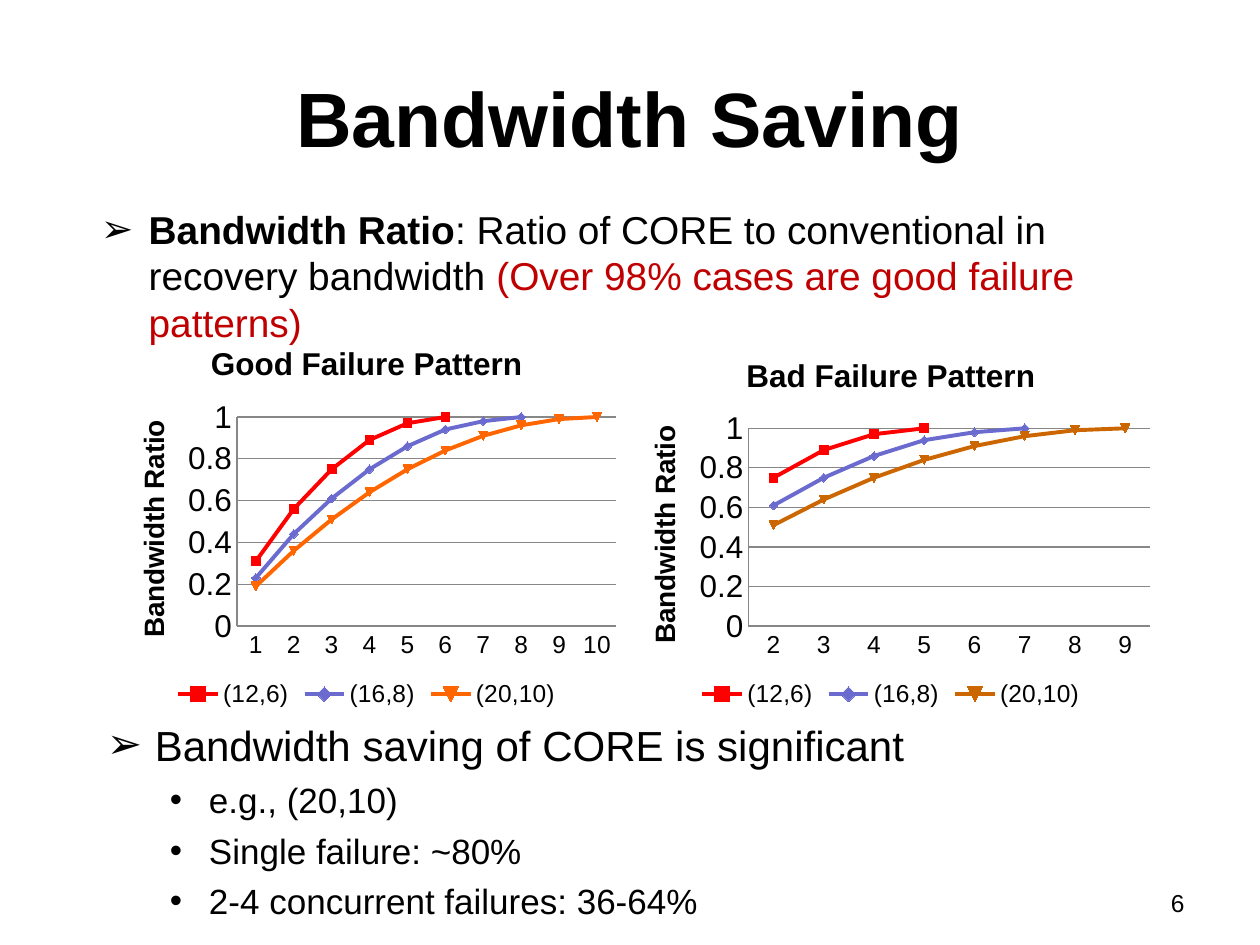
from lxml import etree
from pptx import Presentation, util as u
from pptx.chart import data as chart_data
from pptx.dml import color as dml
from pptx.enum import chart as chart_enum, text
from pptx.oxml import ns

BLACK, RED, VIOLET, ORANGE, BROWN = "000000", "FF0000", "6B6BCF", "FF6600", "CC6600"
GRID, DARK_RED = "878787", "C00000"
FONT = "Arial"
CODES = ("(12,6)", "(16,8)", "(20,10)")
GOOD_RATIOS = (
    (0.31, 0.56, 0.75, 0.89, 0.97, 1),
    (0.23, 0.44, 0.61, 0.75, 0.86, 0.94, 0.98, 1),
    (0.19, 0.36, 0.51, 0.64, 0.75, 0.84, 0.91, 0.96, 0.99, 1),
)
BAD_RATIOS = tuple(ratios[first:] for ratios, first in zip(GOOD_RATIOS, (2, 2, 2)))


def rgb(value):
    """Turn a hex string into a colour."""
    return dml.RGBColor.from_string(value)


def format_font(font, size, color=BLACK, bold=False):
    """Set the face, size, colour and weight of a font."""
    font.name, font.size, font.bold = FONT, u.Pt(size), bold
    font.color.rgb = rgb(color)


def add_text(paragraph, words, size, **style):
    """Add a formatted run to a paragraph."""
    run = paragraph.add_run()
    run.text = words
    format_font(run.font, size, **style)


def set_bullet(paragraph, character, margin, hanging, before=0):
    """Give a paragraph a bullet, a hanging indent and space before."""
    paragraph.space_before = u.Pt(before)
    properties = paragraph._p.get_or_add_pPr()
    properties.set("marL", str(u.Inches(margin)))
    properties.set("indent", str(-u.Inches(hanging)))
    font = etree.SubElement(properties, ns.qn("a:buFont"))
    font.set("typeface", FONT)
    etree.SubElement(properties, ns.qn("a:buChar")).set("char", character)


def place(shape, box, anchor=text.MSO_ANCHOR.TOP):
    """Move a text shape to its box and return its text frame."""
    shape.left, shape.top, shape.width, shape.height = map(u.Inches, box)
    frame = shape.text_frame
    frame.word_wrap, frame.auto_size = True, text.MSO_AUTO_SIZE.NONE
    frame.vertical_anchor = anchor
    return frame


def add_text_box(slide, box):
    """Add a wrapping text box and return its text frame."""
    return place(slide.shapes.add_textbox(0, 0, 0, 0), box)


def fill_title(slide, box):
    """Write the slide title."""
    paragraph = place(slide.shapes.title, box, text.MSO_ANCHOR.MIDDLE).paragraphs[0]
    paragraph.alignment = text.PP_ALIGN.CENTER
    add_text(paragraph, "Bandwidth Saving", 44, bold=True)


def fill_definition(slide, box):
    """Write the definition of the bandwidth ratio."""
    paragraph = place(slide.placeholders[1], box).paragraphs[0]
    set_bullet(paragraph, "➢", 0.38, 0.38)
    add_text(paragraph, "Bandwidth Ratio", 22.2, bold=True)
    add_text(paragraph, ": Ratio of CORE to conventional in recovery bandwidth ", 22.2)
    add_text(paragraph, "(Over 98% cases are good failure patterns)", 22.2, color=DARK_RED)


def set_title(owner, words, size):
    """Give a chart or an axis a bold title."""
    add_text(owner.text_frame.paragraphs[0], words, size, bold=True)


def set_plot_area(chart, box, plot):
    """Fix the inner plot area, given in inches on the slide."""
    area = chart.element.find(".//" + ns.qn("c:plotArea"))
    layout = area.find(ns.qn("c:layout"))
    if layout is None:
        layout = etree.Element(ns.qn("c:layout"))
        area.insert(0, layout)
    manual = etree.SubElement(layout, ns.qn("c:manualLayout"))
    left, top, width, height = box
    settings = {
        "layoutTarget": "inner", "xMode": "edge", "yMode": "edge",
        "x": (plot[0] - left) / width, "y": (plot[1] - top) / height,
        "w": plot[2] / width, "h": plot[3] / height,
    }
    for tag, value in settings.items():
        etree.SubElement(manual, ns.qn("c:" + tag)).set("val", str(value))


def add_ratio_chart(slide, box, plot, title, first, rows, colors):
    """Add a line chart of bandwidth ratios by number of failures."""
    count = max(map(len, rows))
    data = chart_data.CategoryChartData()
    data.categories = [str(first + step) for step in range(count)]
    for code, ratios in zip(CODES, rows):
        data.add_series(code, ratios + (None,) * (count - len(ratios)))
    chart = slide.shapes.add_chart(
        chart_enum.XL_CHART_TYPE.LINE_MARKERS, *map(u.Inches, box), data).chart
    format_font(chart.font, 18)
    set_title(chart.chart_title, title, 18)
    chart.chart_title.include_in_layout = False
    chart.has_legend = True
    chart.legend.position = chart_enum.XL_LEGEND_POSITION.BOTTOM
    chart.legend.include_in_layout = False
    format_font(chart.legend.font, 14)
    chart.plots[0].vary_by_categories = False

    values = chart.value_axis
    values.minimum_scale, values.maximum_scale, values.major_unit = 0, 1, 0.2
    values.has_major_gridlines = True
    set_title(values.axis_title, "Bandwidth Ratio", 16)
    format_font(values.tick_labels.font, 18)
    format_font(chart.category_axis.tick_labels.font, 14)
    for axis in (values, chart.category_axis):
        axis.major_tick_mark = axis.minor_tick_mark = chart_enum.XL_TICK_MARK.NONE
        axis.format.line.color.rgb = rgb(GRID)
    values.major_gridlines.format.line.color.rgb = rgb(GRID)

    for series, color in zip(chart.plots[0].series, colors):
        series.smooth = False
        series.format.line.color.rgb = rgb(color)
        series.format.line.width = u.Pt(2.25)
        series.marker.style = chart_enum.XL_MARKER_STYLE.AUTOMATIC
        series.marker.size = 5
        series.marker.format.fill.solid()
        series.marker.format.fill.fore_color.rgb = rgb(color)
        series.marker.format.line.color.rgb = rgb(color)
    set_plot_area(chart, box, plot)


def add_findings(slide, box):
    """Write the conclusion and its examples."""
    frame = add_text_box(slide, box)
    set_bullet(frame.paragraphs[0], "➢", 0.38, 0.38)
    add_text(frame.paragraphs[0], "Bandwidth saving of CORE is significant", 24)
    for words in ("e.g., (20,10)", "Single failure: ~80%", "2-4 concurrent failures: 36-64%"):
        paragraph = frame.add_paragraph()
        paragraph.level = 1
        set_bullet(paragraph, "•", 0.81, 0.31, before=5)
        add_text(paragraph, words, 20)


def add_slide_number(slide, box):
    """Write the slide number."""
    paragraph = add_text_box(slide, box).paragraphs[0]
    paragraph.alignment = text.PP_ALIGN.RIGHT
    add_text(paragraph, "6", 14)


def main():
    """Build the slide and save it."""
    presentation = Presentation()
    presentation.slide_width, presentation.slide_height = u.Inches(10), u.Inches(7.5)
    slide = presentation.slides.add_slide(presentation.slide_layouts[1])
    fill_title(slide, (0.5, 0.3, 9, 1.25))
    fill_definition(slide, (0.7, 1.58, 8.62, 1))
    add_ratio_chart(slide, (0.85, 2.56, 4.12, 3.1), (1.88, 3.31, 3.01, 1.66),
                    "Good Failure Pattern", 1, GOOD_RATIOS, (RED, VIOLET, ORANGE))
    add_ratio_chart(slide, (4.92, 2.66, 4.3, 3), (5.94, 3.4, 3.19, 1.57),
                    "Bad Failure Pattern", 2, BAD_RATIOS, (RED, VIOLET, BROWN))
    add_findings(slide, (0.75, 5.66, 8.62, 1.84))
    add_slide_number(slide, (7.17, 7, 2.33, 0.35))
    presentation.save("out.pptx")


main()
